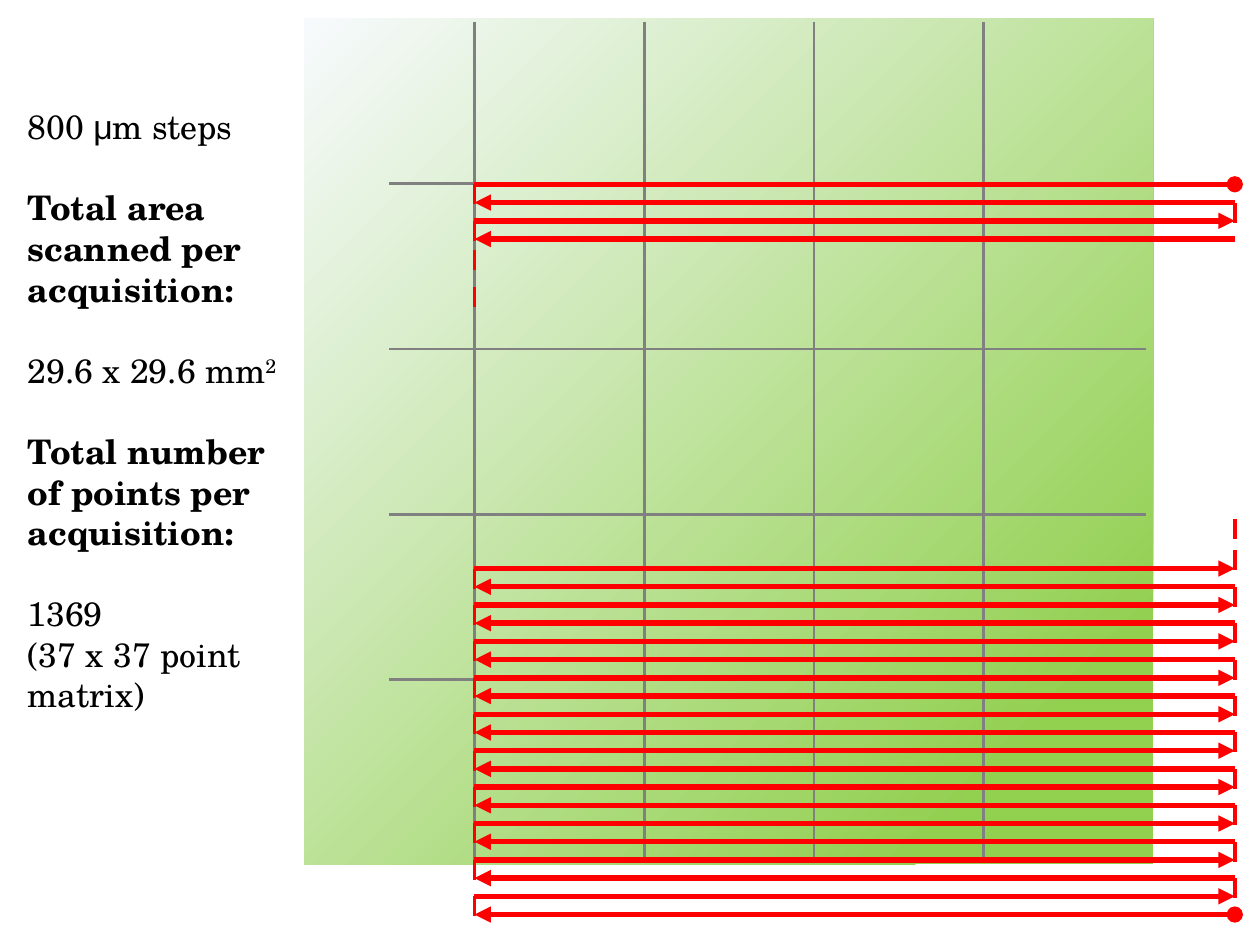
from lxml.etree import SubElement
from pptx import Presentation
from pptx.dml.color import RGBColor
from pptx.enum.shapes import MSO_CONNECTOR, MSO_SHAPE
from pptx.enum.text import MSO_AUTO_SIZE
from pptx.oxml.ns import qn
from pptx.util import Inches, Pt

BLACK = RGBColor(0, 0, 0)
GRAY = RGBColor(0x80, 0x80, 0x80)
RED = RGBColor(0xFF, 0, 0)
SERIF = "TeX Gyre Schola"

PARAGRAPHS = [
    (False, [("800 ", {}), ("μ", {"name": "Arial"}), ("m steps", {})]),
    (True, [("Total area scanned per acquisition:", {"bold": True})]),
    (True, [("29.6 x 29.6 mm", {}), ("2", {"superscript": True})]),
    (True, [("Total number of points per acquisition:", {"bold": True})]),
    (True, [("1369", {})]),
    (False, [("(37 x 37 point matrix)", {})]),
]
GRADIENT_STOPS = [(0, "F7FAFD"), (86000, "92D050"), (100000, "92D050")]

PLATE = (3.5, 0.21, 9.77, 9.73)
GRID_COLUMNS = [5.46 + 1.953 * index for index in range(4)]
GRID_ROWS = [2.11 + 1.903 * index for index in range(4)]
SCAN_LEFT, SCAN_RIGHT = 5.46, 14.21
SCAN_BLOCKS = [
    {"top": 2.12, "bottom": 2.75, "rows": 4, "first": (None, "oval"), "last": (None, "triangle")},
    {"top": 6.54, "bottom": 10.52, "rows": 20, "first": (None, "triangle"), "last": ("oval", "triangle")},
]
TURN_LENGTH = 0.23
DASHES = [(SCAN_LEFT, 2.88), (SCAN_LEFT, 3.3), (SCAN_RIGHT, 5.97), (SCAN_RIGHT, 6.33)]


def add_line(slide, start, end, color, width, head=None, tail=None):
    points = [Inches(value) for value in (*start, *end)]
    connector = slide.shapes.add_connector(MSO_CONNECTOR.STRAIGHT, *points)
    connector.line.color.rgb = color
    connector.line.width = Pt(width)
    properties = connector._element.spPr
    outline = properties.find(qn("a:ln"))
    for tag, kind in (("a:headEnd", head), ("a:tailEnd", tail)):
        if kind:
            SubElement(outline, qn(tag), type=kind)
    SubElement(properties, qn("a:effectLst"))


def add_plate(slide):
    plate = slide.shapes.add_shape(MSO_SHAPE.RECTANGLE, *[Inches(value) for value in PLATE])
    plate.shadow.inherit = False
    plate.line.fill.background()
    plate.fill.gradient()
    gradient = plate._element.spPr.find(qn("a:gradFill"))
    gradient.clear()
    stops = SubElement(gradient, qn("a:gsLst"))
    for position, color in GRADIENT_STOPS:
        stop = SubElement(stops, qn("a:gs"), pos=str(position))
        SubElement(stop, qn("a:srgbClr"), val=color)
    circle = SubElement(gradient, qn("a:path"), path="circle")
    SubElement(circle, qn("a:fillToRect"), r="100000", b="100000")


def add_grid(slide):
    for x in GRID_COLUMNS:
        add_line(slide, (x, 0.25), (x, 9.9), GRAY, 2.25)
    for y in GRID_ROWS:
        add_line(slide, (4.48, y), (13.19, y), GRAY, 2.25)


def add_scan(slide, block):
    count = block["rows"]
    pitch = (block["bottom"] - block["top"]) / (count - 1)
    ends = {0: block["first"], count - 1: block["last"]}
    for index in range(count):
        y = block["top"] + index * pitch
        start, end = (SCAN_LEFT, SCAN_RIGHT) if index % 2 == 0 else (SCAN_RIGHT, SCAN_LEFT)
        head, tail = ends.get(index, (None, "triangle"))
        add_line(slide, (start, y), (end, y), RED, 4.5, head, tail)
        if index < count - 1:
            add_line(slide, (start, y), (start, y + TURN_LENGTH), RED, 3)


def add_description(slide):
    box = slide.shapes.add_textbox(Inches(0.22), Inches(1.17), Inches(3.42), Inches(7.01))
    frame = box.text_frame
    frame.word_wrap = True
    frame.auto_size = MSO_AUTO_SIZE.SHAPE_TO_FIT_TEXT
    for index, (spaced, runs) in enumerate(PARAGRAPHS):
        paragraph = frame.paragraphs[0] if index == 0 else frame.add_paragraph()
        if spaced:
            paragraph.space_before = Pt(33.6)
        for text, changes in runs:
            run = paragraph.add_run()
            run.text = text
            run.font.color.rgb = BLACK
            formats = {"name": SERIF, "size": Pt(28), "bold": False, **changes}
            if formats.pop("superscript", False):
                run.font._element.set("baseline", "30000")
            for name, value in formats.items():
                setattr(run.font, name, value)


def main():
    presentation = Presentation()
    presentation.slide_width = Inches(14.5)
    presentation.slide_height = Inches(10.87)
    slide = presentation.slides.add_slide(presentation.slide_layouts[6])
    add_plate(slide)
    add_grid(slide)
    for block in SCAN_BLOCKS:
        add_scan(slide, block)
    for x, y in DASHES:
        add_line(slide, (x, y), (x, y + TURN_LENGTH), RED, 3)
    add_description(slide)
    presentation.save("out.pptx")


if __name__ == "__main__":
    main()
